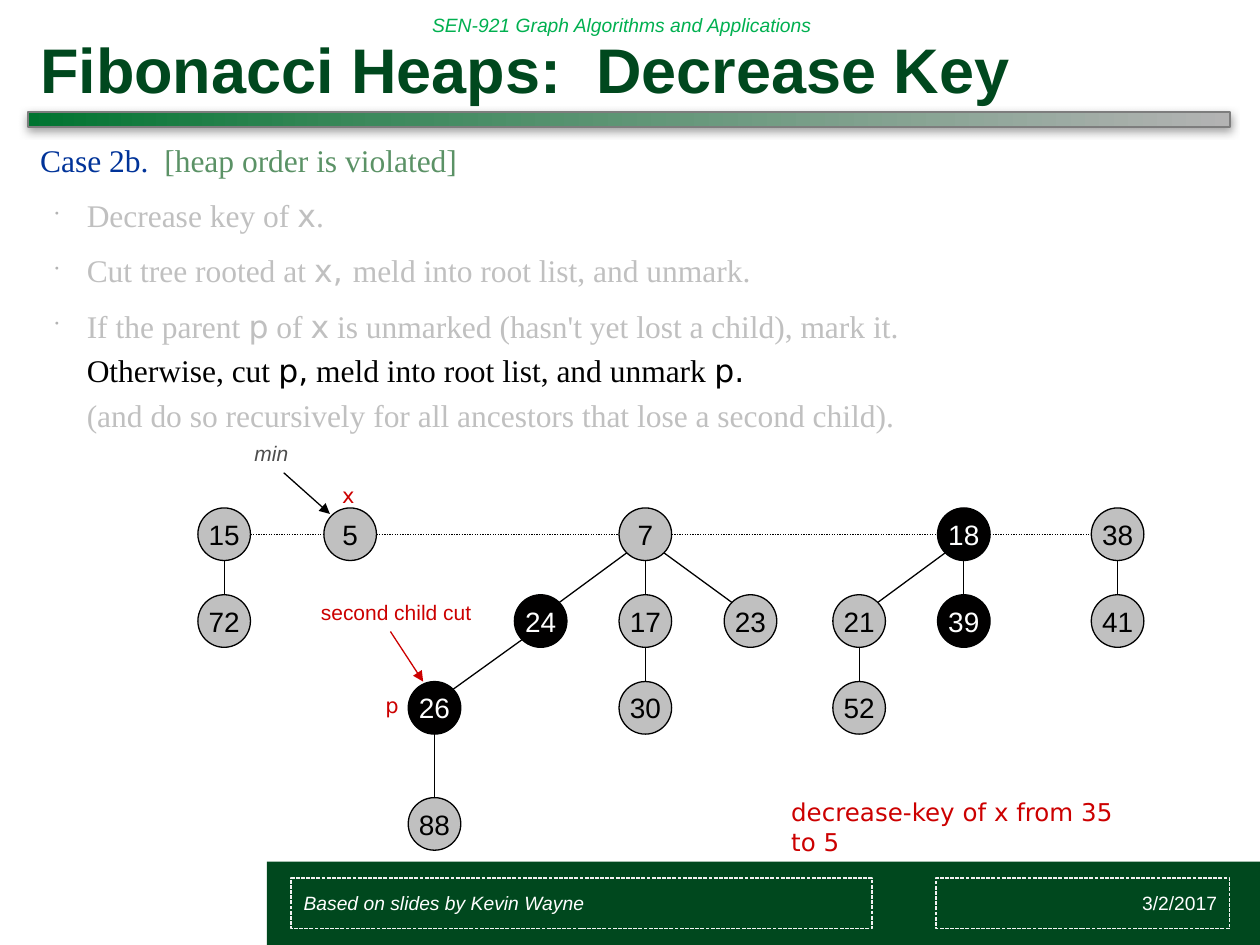
from copy import deepcopy
from itertools import pairwise
from math import sqrt

from lxml.etree import SubElement
from pptx import Presentation
from pptx.dml.color import RGBColor
from pptx.enum.dml import MSO_LINE
from pptx.enum.shapes import MSO_CONNECTOR, MSO_SHAPE
from pptx.enum.text import MSO_ANCHOR, PP_ALIGN
from pptx.oxml.ns import qn
from pptx.util import Cm, Pt

# Theme
THEME = {
    "color": {"green": "00481E", "header": "00B050", "case": "003399",
              "condition": "5B9266", "faded": "C0C0C0", "bullet": "B3B3B3",
              "black": "000000", "marked": "010000", "white": "FFFFFF",
              "red": "CC0000", "gray": "4D4D4D", "frame": "F2F2F2",
              "bar_edge": "7D7D7D", "shadow": "808080"},
    "size": {"title": 36, "body": 18, "node": 16, "caption": 14,
             "label": 12, "footer": 11},
    "font": {"sans": "Arial", "serif": "Times New Roman", "var": "DejaVu Sans"},
    "bar": [(0, "007430"), (0.29, "3C895C"), (1, "B3B3B3")],
}

# Content: (text, font, color) runs; None is a line break
CASE = [("Case 2b.  ", "serif", "case"),
        ("[heap order is violated]", "serif", "condition")]
STEPS = [
    [("Decrease key of ", "serif", "faded"), ("x", "var", "faded"),
     (".", "serif", "faded")],
    [("Cut tree rooted at ", "serif", "faded"), ("x, ", "var", "faded"),
     ("meld into root list, and unmark.", "serif", "faded")],
    [("If the parent ", "serif", "faded"), ("p", "var", "faded"),
     (" of ", "serif", "faded"), ("x", "var", "faded"),
     (" is unmarked (hasn't yet lost a child), mark it.", "serif", "faded"),
     None,
     ("Otherwise, cut ", "serif", "black"), ("p,", "var", "black"),
     (" meld into root list, and unmark ", "serif", "black"),
     ("p.", "var", "black"), None,
     ("(and do so recursively for all ancestors that lose a second child).",
      "serif", "faded")],
]

# Heap: key -> (centre x in cm, level)
LEVELS = [10.77, 12.52, 14.27, 16.61]
HEAP = {15: (4.52, 0), 5: (7.06, 0), 7: (13.01, 0), 18: (19.43, 0),
        38: (22.53, 0), 72: (4.52, 1), 24: (10.9, 1), 17: (13.01, 1),
        23: (15.13, 1), 21: (17.32, 1), 39: (19.43, 1), 41: (22.53, 1),
        26: (8.76, 2), 30: (13.01, 2), 52: (17.32, 2), 88: (8.76, 3)}
CHILDREN = {15: [72], 7: [24, 17, 23], 18: [21, 39], 38: [41],
            24: [26], 17: [30], 21: [52], 26: [88]}
ROOTS = [15, 5, 7, 18, 38]
MARKED = {18, 39, 24, 26}
RADIUS = 0.53

# Labels: text, box in cm, size, font, color, italic, wrap
LABELS = [
    ("decrease-key of x from 35 to 5", (15.7, 15.95, 7.21, 0.86),
     "caption", "var", "red", False, True),
    ("x", (6.65, 9.6, 0.74, 0.76), "label", "var", "red", False, False),
    ("p", (7.52, 13.84, 0.76, 0.76), "label", "var", "red", False, False),
    ("second child cut", (6.22, 11.96, 3.56, 0.76),
     "label", "sans", "red", False, False),
    ("min", (4.88, 8.76, 1.19, 0.76), "label", "sans", "gray", True, False),
]
POINTERS = [((7.87, 12.73), (8.53, 13.74), "red"),
            ((5.72, 9.53), (6.65, 10.36), "black")]
FOOTERS = [("3/2/2017", (18.87, 17.7, 5.92, 1.02), PP_ALIGN.RIGHT, False),
           ("Based on slides by Kevin Wayne", (5.87, 17.7, 11.71, 1.02),
            PP_ALIGN.LEFT, True)]

deck = Presentation()
deck.slide_width, deck.slide_height = Cm(25.4), Cm(19.05)
slide = deck.slides.add_slide(deck.slide_layouts[6])


def rgb(name):
    return RGBColor.from_string(THEME["color"].get(name, name))


def apply(target, values):
    for name, value in values.items():
        setattr(target, name, value)


def write(paragraph, text, size, font, color, **style):
    run = paragraph.add_run()
    run.text = text
    apply(run.font, {"size": Pt(THEME["size"][size]),
                     "name": THEME["font"][font], **style})
    run.font.color.rgb = rgb(color)


def textbox(box, **frame_values):
    frame = slide.shapes.add_textbox(*map(Cm, box)).text_frame
    apply(frame, {"word_wrap": True, **frame_values})
    return frame


def shape(preset, box, fill=None, line=None, width=0.74, dash=None):
    part = slide.shapes.add_shape(preset, *map(Cm, box))
    part.shadow.inherit = False
    if fill:
        part.fill.solid()
        part.fill.fore_color.rgb = rgb(fill)
    else:
        part.fill.background()
    if line:
        part.line.color.rgb = rgb(line)
        apply(part.line, {"width": Pt(width), "dash_style": dash})
    else:
        part.line.fill.background()
    return part


def connect(start, end, color="black", dash=None, arrow=False):
    link = slide.shapes.add_connector(MSO_CONNECTOR.STRAIGHT,
                                      *map(Cm, (*start, *end)))
    link.line.color.rgb = rgb(color)
    apply(link.line, {"width": Pt(0.74), "dash_style": dash})
    if arrow:
        SubElement(link.line._get_or_add_ln(), qn("a:tailEnd"), type="triangle")
    SubElement(link._element.spPr, qn("a:effectLst"))


def centre(key):
    x, level = HEAP[key]
    return x, LEVELS[level]


def link_nodes(first, second, dash=None):
    (x1, y1), (x2, y2) = centre(first), centre(second)
    sx, sy = (x2 > x1) - (x2 < x1), (y2 > y1) - (y2 < y1)
    reach = RADIUS / sqrt(abs(sx) + abs(sy))
    connect((x1 + sx * reach, y1 + sy * reach),
            (x2 - sx * reach, y2 - sy * reach), dash=dash)


# Header, title and footer band
shape(MSO_SHAPE.RECTANGLE, (5.38, 17.37, 20.02, 1.7), "green")
header = textbox((8.46, 0, 11.71, 1.02), vertical_anchor=MSO_ANCHOR.MIDDLE)
write(header.paragraphs[0], "SEN-921 Graph Algorithms and Applications",
      "footer", "sans", "header", italic=True)
title = textbox((0.56, 0.41, 24.23, 1.85), vertical_anchor=MSO_ANCHOR.BOTTOM)
write(title.paragraphs[0], "Fibonacci Heaps:  Decrease Key",
      "title", "sans", "green", bold=True)

# Gradient bar with its shadow
bar = shape(MSO_SHAPE.RECTANGLE, (0.56, 2.26, 24.23, 0.3),
            line="bar_edge", width=1)
bar.fill.gradient()
bar.fill.gradient_angle = 0
stop_list = bar._element.spPr.find(".//" + qn("a:gsLst"))
stop_list.insert(1, deepcopy(stop_list[0]))
for stop, (position, color) in zip(bar.fill.gradient_stops, THEME["bar"]):
    stop.position = position
    stop.color.rgb = rgb(color)
glow = SubElement(bar._element.spPr.find(qn("a:effectLst")), qn("a:outerShdw"),
                  blurRad=str(Pt(5)), dist=str(Pt(2)), dir="5400000")
tint = SubElement(glow, qn("a:srgbClr"), val=THEME["color"]["shadow"])
SubElement(tint, qn("a:alpha"), val="75000")

# Case description
body = textbox((0.56, 2.57, 24.23, 14.45))
for index, runs in enumerate([CASE, *STEPS]):
    paragraph = body.add_paragraph() if index else body.paragraphs[0]
    apply(paragraph, {"line_spacing": Pt(25.6),
                      "space_before": Pt(6 if index else 0)})
    if index:
        props = paragraph._p.get_or_add_pPr()
        props.set("marL", str(Cm(0.94)))
        props.set("indent", str(Cm(-0.64)))
        tone = SubElement(props, qn("a:buClr"))
        SubElement(tone, qn("a:srgbClr"), val=THEME["color"]["bullet"])
        SubElement(props, qn("a:buSzPct"), val="35000")
        SubElement(props, qn("a:buChar"), char="•")
    for run in runs:
        if run:
            text, font, color = run
            write(paragraph, text, "body", font, color)
        else:
            paragraph.add_line_break()

# Heap links and nodes
for first, second in pairwise(ROOTS):
    link_nodes(first, second, MSO_LINE.ROUND_DOT)
for parent, children in CHILDREN.items():
    for child in children:
        link_nodes(parent, child)
for key in HEAP:
    x, y = centre(key)
    fill, ink = ("marked", "white") if key in MARKED else ("faded", "black")
    node = shape(MSO_SHAPE.OVAL,
                 (x - RADIUS, y - RADIUS, 2 * RADIUS, 2 * RADIUS), fill, "black")
    apply(node.text_frame, {"word_wrap": False,
                            "vertical_anchor": MSO_ANCHOR.MIDDLE})
    node.text_frame.paragraphs[0].alignment = PP_ALIGN.CENTER
    write(node.text_frame.paragraphs[0], str(key), "node", "sans", ink)

# Labels and pointers
for text, box, size, font, color, italic, wrap in LABELS:
    write(textbox(box, word_wrap=wrap).paragraphs[0], text, size, font, color,
          italic=italic)
for start, end, color in POINTERS:
    connect(start, end, color, arrow=True)

# Footer frames
for text, box, alignment, italic in FOOTERS:
    footer = shape(MSO_SHAPE.RECTANGLE, box, line="frame", width=0.75,
                   dash=MSO_LINE.SQUARE_DOT).text_frame
    footer.vertical_anchor = MSO_ANCHOR.MIDDLE
    footer.paragraphs[0].alignment = alignment
    write(footer.paragraphs[0], text, "footer", "sans", "white", italic=italic)

deck.save("out.pptx")
